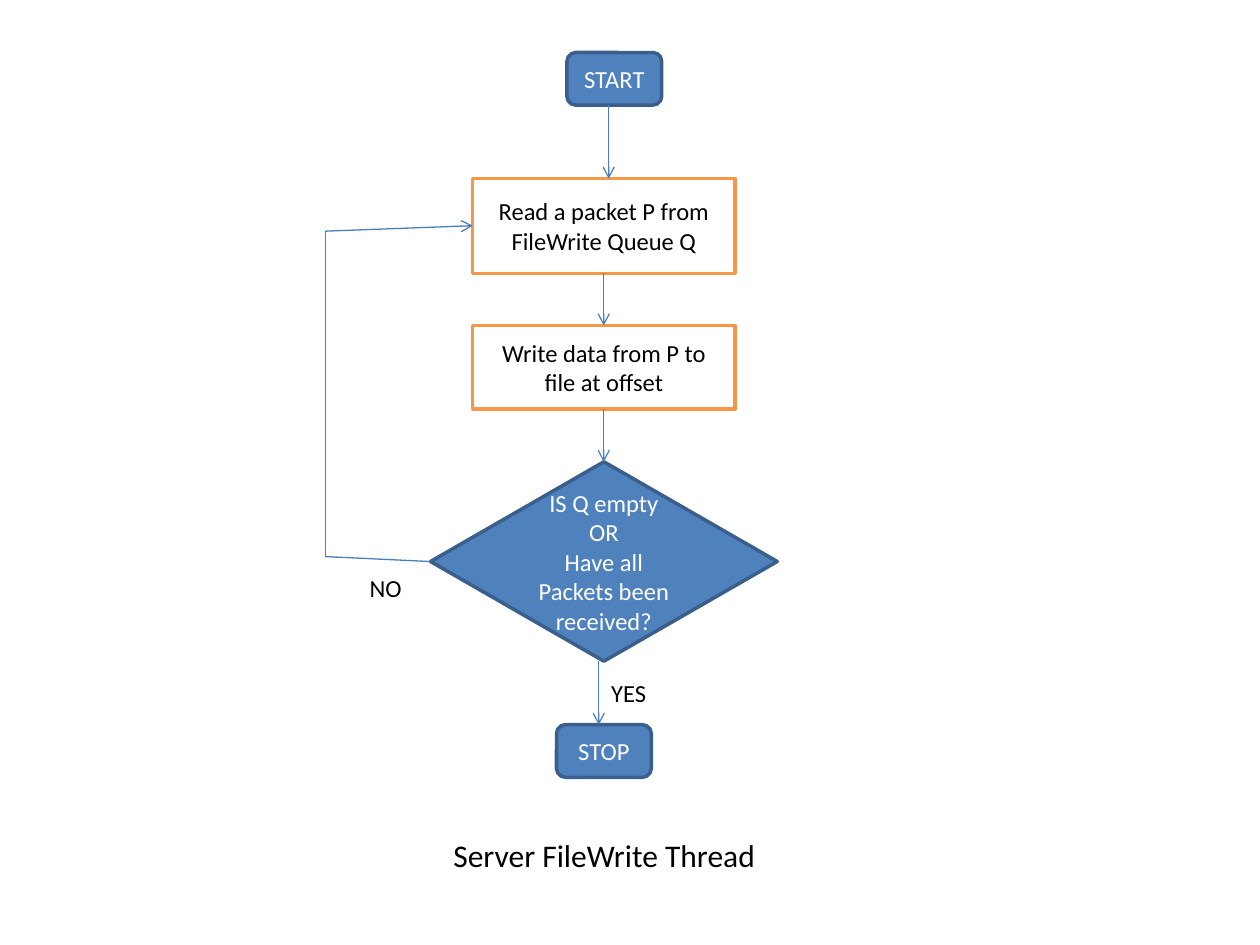
from pptx import Presentation
from pptx import util as u
from pptx.dml.color import RGBColor
from pptx.enum import shapes, text
from pptx.oxml.ns import qn
from lxml import etree

BLUE = RGBColor(0x4F, 0x81, 0xBD)
NAVY = RGBColor(0x3A, 0x5F, 0x8C)
LINK = RGBColor(0x4B, 0x7E, 0xBC)
ORANGE = RGBColor(0xF7, 0x96, 0x46)
WHITE = RGBColor(0xFF, 0xFF, 0xFF)
BLACK = RGBColor(0, 0, 0)

deck = Presentation()
deck.slide_width, deck.slide_height = u.Cm(25.4), u.Cm(19.05)
slide = deck.slides.add_slide(deck.slide_layouts[6])


def write(frame, words, size, color, align):
    frame.text = words
    for para in frame.paragraphs:
        para.alignment = align
        for run in para.runs:
            run.font.name = "Calibri"
            run.font.size = u.Pt(size)
            run.font.color.rgb = color


KIND = shapes.MSO_SHAPE
ROUND, STEP, TEST = KIND.ROUNDED_RECTANGLE, KIND.FLOWCHART_PROCESS, KIND.FLOWCHART_DECISION
DARK = (BLUE, NAVY, WHITE)
LIGHT = (WHITE, ORANGE, BLACK)

nodes = [
    (STEP, LIGHT, "Read a packet P from FileWrite Queue Q", 9.53, 3.6, 5.29, 1.91),
    (TEST, DARK, "IS Q empty\nOR\nHave all Packets been received?", 8.68, 9.31, 6.99, 4.02),
    (STEP, LIGHT, "Write data from P to file at offset", 9.53, 6.56, 5.29, 1.69),
    (ROUND, DARK, "START", 11.43, 1.06, 1.91, 1.06),
    (ROUND, DARK, "STOP", 11.22, 14.61, 1.91, 1.06),
]
for kind, (fill, edge, ink), words, *box in nodes:
    node = slide.shapes.add_shape(kind, *map(u.Cm, box))
    node.shadow.inherit = False
    node.fill.solid()
    node.fill.fore_color.rgb = fill
    node.line.color.rgb = edge
    node.line.width = u.Pt(2)
    node.text_frame.word_wrap = True
    node.text_frame.vertical_anchor = text.MSO_ANCHOR.MIDDLE
    write(node.text_frame, words, 14, ink, text.PP_ALIGN.CENTER)

links = [
    (12.27, 2.12, 12.27, 3.6, True),
    (12.17, 5.5, 12.17, 6.56, True),
    (12.17, 8.25, 12.17, 9.31, True),
    (12.07, 13.33, 12.07, 14.61, True),
    (8.68, 11.32, 6.56, 11.22, False),
    (6.56, 11.22, 6.56, 4.66, False),
    (6.56, 4.66, 9.53, 4.55, True),
]
for *ends, head in links:
    link = slide.shapes.add_connector(shapes.MSO_CONNECTOR.STRAIGHT, *map(u.Cm, ends))
    link.line.color.rgb = LINK
    link.line.width = u.Pt(0.75)
    if head:
        etree.SubElement(link.line._get_or_add_ln(), qn("a:tailEnd"), type="arrow")
    etree.SubElement(link._element.spPr, qn("a:effectLst"))

labels = [
    ("YES", 14, True, 12.07, 13.55, 1.22, 0.86),
    ("NO", 14, False, 7.2, 11.43, 1.17, 0.86),
    ("Server FileWrite Thread", 18, True, 8.89, 16.72, 6.77, 1.02),
]
for words, size, wrap, *box in labels:
    frame = slide.shapes.add_textbox(*map(u.Cm, box)).text_frame
    frame.word_wrap = wrap
    frame.auto_size = text.MSO_AUTO_SIZE.SHAPE_TO_FIT_TEXT
    write(frame, words, size, BLACK, text.PP_ALIGN.LEFT)

deck.save("out.pptx")
